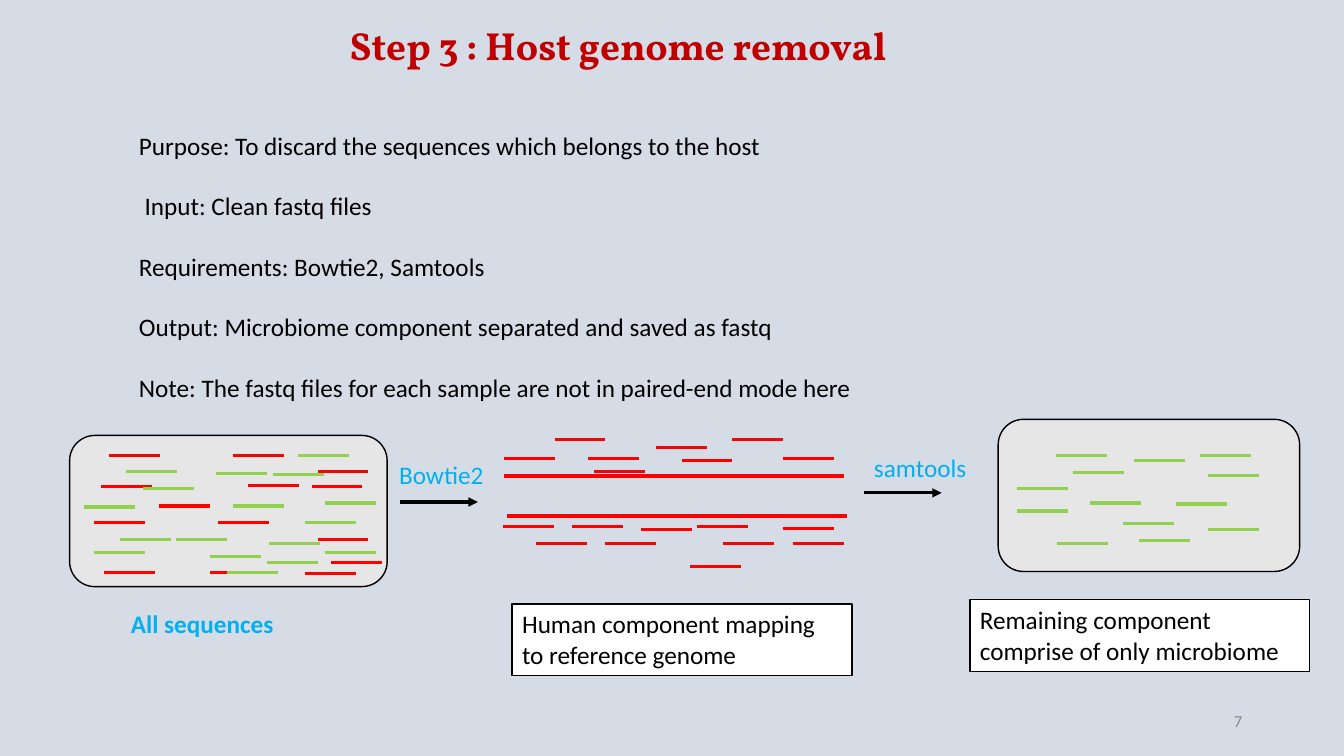
import pptx
import pptx.dml.color
import pptx.enum.shapes
import pptx.enum.text
import pptx.oxml.ns
import pptx.util
from lxml import etree

COLORS = {
    "background": "D6DCE5", "title": "C00000", "text": "000000", "panel": "E7E6E6",
    "host": "FF0000", "microbe": "92D050", "label": "00B0F0", "caption": "FFFFFF",
    "number": "8C8C8C",
}
SLIDE_WIDTH, SLIDE_HEIGHT = pptx.util.Inches(13.33), pptx.util.Inches(7.5)
COLUMN, ROW = SLIDE_WIDTH / 1333, SLIDE_HEIGHT / 750
READ_COLUMNS, ARROW_COLUMNS, REFERENCE_COLUMNS = 50.5, 77, 337
SHAPES = pptx.enum.shapes.MSO_SHAPE
ALIGN = pptx.enum.text.PP_ALIGN
ANCHOR = pptx.enum.text.MSO_ANCHOR

NOTES = [
    "Purpose: To discard the sequences which belongs to the host",
    " Input: Clean fastq files",
    "Requirements: Bowtie2, Samtools",
    "Output: Microbiome component separated and saved as fastq",
    "Note: The fastq files for each sample are not in paired-end mode here",
]
MIXED_HOST = [
    (39, 20), (240, 51), (162, 20), (177, 50), (24, 86), (246, 103), (147, 86),
    (34, 136), (139, 136), (234, 137), (31, 51), (259, 126), (89, 70), (246, 36),
]
MIXED_MICROBE = [
    (56, 36), (145, 38), (162, 70), (24, 116), (234, 86), (50, 103), (73, 53),
    (227, 20), (14, 71), (106, 103), (196, 126), (198, 107), (202, 39), (253, 67),
    (139, 120), (156, 136), (253, 116),
]
MAPPED_HOST = [
    (90, 32), (1, 19), (84, 19), (0, 86), (278, 19), (152, 8), (177, 21), (227, 0),
    (51, 0), (137, 89), (33, 103), (68, 86), (101, 103), (192, 86), (218, 103),
    (185, 126), (278, 88), (288, 103),
]
REFERENCES = [(1, 36), (4, 76)]
REMAINING_MICROBE = [
    (57, 36), (135, 41), (200, 36), (58, 123), (19, 69), (208, 56), (19, 91),
    (74, 53), (91, 83), (176, 84), (124, 103), (140, 120), (208, 109),
]


def rgb(name):
    """Return the named colour."""
    return pptx.dml.color.RGBColor.from_string(COLORS[name])


def place(box):
    """Turn a box in columns and rows into slide lengths."""
    left, top, width, height = box
    return [round(n) for n in (left * COLUMN, top * ROW, width * COLUMN, height * ROW)]


def write(shape, lines, color, size=18, font="Calibri", bold=False,
          align=ALIGN.LEFT, anchor=ANCHOR.TOP, gap=0):
    """Write one paragraph per line into a shape."""
    frame = shape.text_frame
    frame.word_wrap = True
    frame.vertical_anchor = anchor
    for index, line in enumerate(lines):
        paragraph = frame.add_paragraph() if index else frame.paragraphs[0]
        paragraph.alignment = align
        paragraph.space_before = pptx.util.Pt(gap if index else 0)
        run = paragraph.add_run()
        run.text = line
        run.font.name = font
        run.font.size = pptx.util.Pt(size)
        run.font.bold = bold
        run.font.color.rgb = rgb(color)


def add_text(slide, box, lines, color, **style):
    """Add a text box."""
    write(slide.shapes.add_textbox(*place(box)), lines, color, **style)


def add_panel(slide, box, kind, fill):
    """Add an outlined panel and return it."""
    shape = slide.shapes.add_shape(kind, *place(box))
    shape.shadow.inherit = False
    shape.fill.solid()
    shape.fill.fore_color.rgb = rgb(fill)
    shape.line.color.rgb = rgb("text")
    shape.line.width = pptx.util.Pt(1)
    return shape


def add_stroke(slide, left, top, columns, color, weight=2.25):
    """Add a horizontal line and return it."""
    x, y, length, _ = place((left, top, columns, 0))
    line = slide.shapes.add_connector(
        pptx.enum.shapes.MSO_CONNECTOR.STRAIGHT, x, y, x + length, y)
    line.line.color.rgb = rgb(color)
    line.line.width = pptx.util.Pt(weight)
    etree.SubElement(line._element.spPr, pptx.oxml.ns.qn("a:effectLst"))
    return line


def add_reads(slide, box, offsets, color, columns=READ_COLUMNS, weight=2.25):
    """Scatter sequence strokes at offsets from the corner of a box."""
    for column, row in offsets:
        add_stroke(slide, box[0] + column, box[1] + row, columns, color, weight)


def add_pool(slide, box, host, microbe):
    """Add a rounded pool with its host and microbe reads."""
    add_panel(slide, box, SHAPES.ROUNDED_RECTANGLE, "panel")
    add_reads(slide, box, host, "host")
    add_reads(slide, box, microbe, "microbe")


def add_mapping(slide, box):
    """Add the host reads around the two reference strands."""
    add_reads(slide, box, MAPPED_HOST, "host")
    add_reads(slide, box, REFERENCES, "host", REFERENCE_COLUMNS, 3)


def add_tool_step(slide, box, arrow_left, arrow_top, tool):
    """Add a tool label with the arrow below it."""
    line = add_stroke(slide, box[0] + arrow_left, box[1] + arrow_top, ARROW_COLUMNS, "text")
    etree.SubElement(line.line._get_or_add_ln(), pptx.oxml.ns.qn("a:tailEnd"), type="triangle")
    add_text(slide, box, [tool], "label")


def add_caption(slide, box, text):
    """Add a framed caption."""
    write(add_panel(slide, box, SHAPES.RECTANGLE, "caption"), [text], "text")


def build_host_removal(presentation):
    """Build the host genome removal slide."""
    slide = presentation.slides.add_slide(presentation.slide_layouts[6])
    slide.background.fill.solid()
    slide.background.fill.fore_color.rgb = rgb("background")
    add_text(slide, (337, 16, 611, 57), ["Step 3 : Host genome removal"], "title",
             size=28, font="Vollkorn", bold=True)
    add_text(slide, (128, 124, 1157, 283), NOTES, "text", gap=21.6)
    add_pool(slide, (69, 432, 315, 150), MIXED_HOST, MIXED_MICROBE)
    add_tool_step(slide, (386, 451, 122, 40), 11, 47, "Bowtie2")
    add_mapping(slide, (499, 436, 341, 126))
    add_tool_step(slide, (857, 444, 123, 40), 0, 45, "samtools")
    add_pool(slide, (990, 416, 299, 151), [], REMAINING_MICROBE)
    add_text(slide, (120, 599, 193, 40), ["All sequences"], "label", bold=True)
    add_caption(slide, (508, 599, 337, 71), "Human component mapping to reference genome")
    add_caption(slide, (962, 595, 337, 71), "Remaining component comprise of only microbiome")
    add_text(slide, (942, 695, 300, 40), ["7"], "number", size=12,
             align=ALIGN.RIGHT, anchor=ANCHOR.MIDDLE)


def main():
    """Create and save the presentation."""
    presentation = pptx.Presentation()
    presentation.slide_width, presentation.slide_height = SLIDE_WIDTH, SLIDE_HEIGHT
    build_host_removal(presentation)
    presentation.save("out.pptx")


if __name__ == "__main__":
    main()
